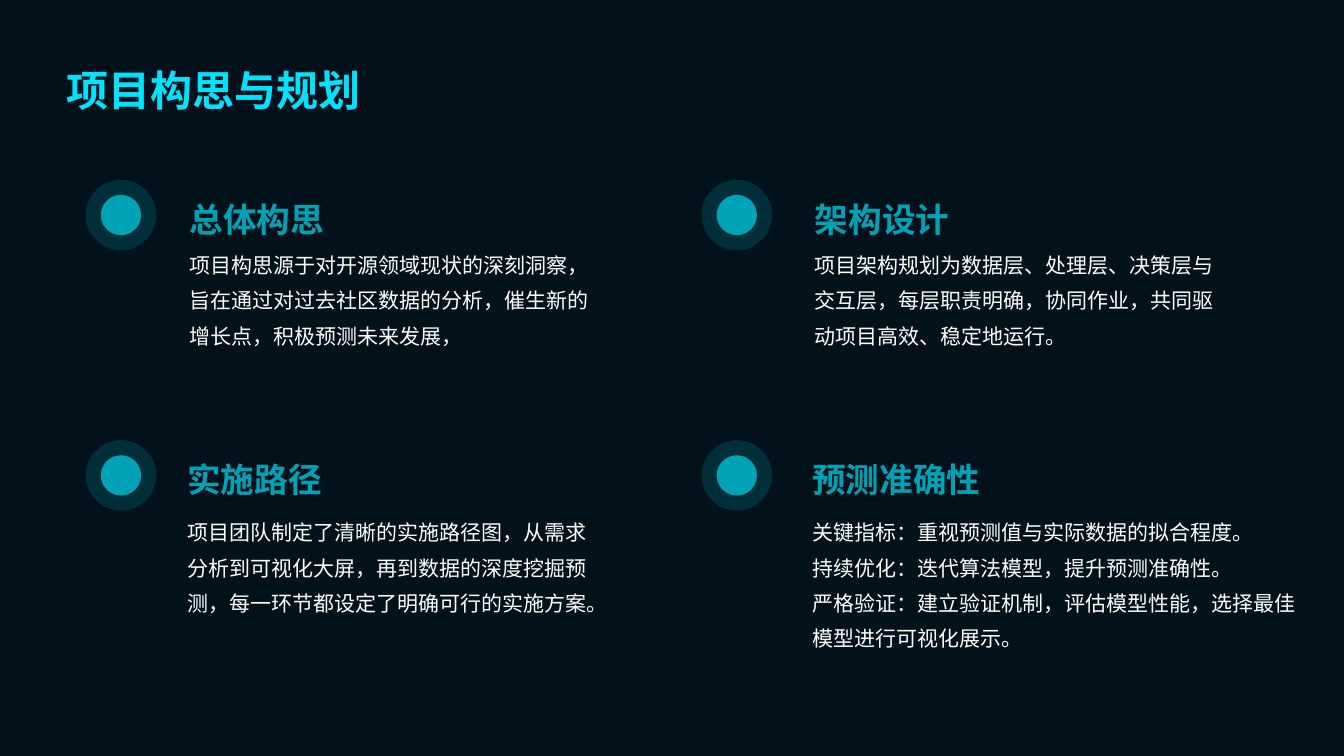
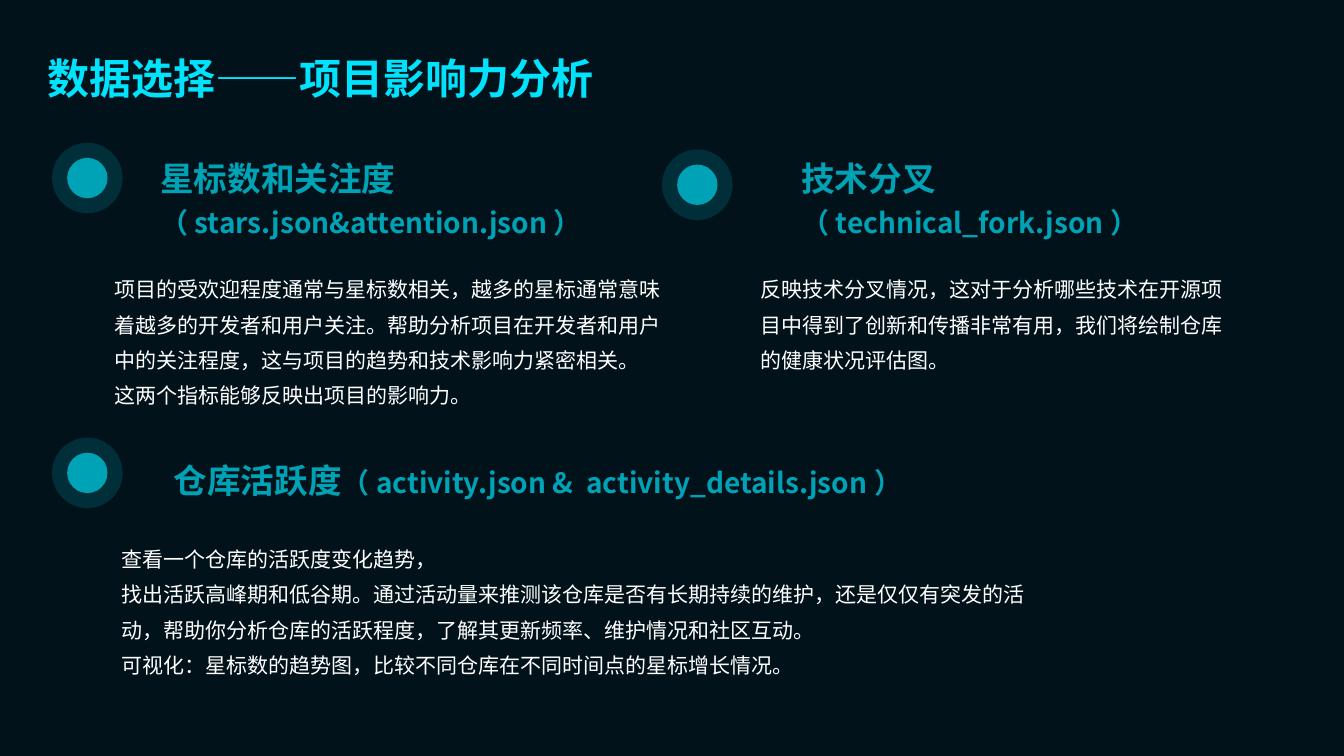
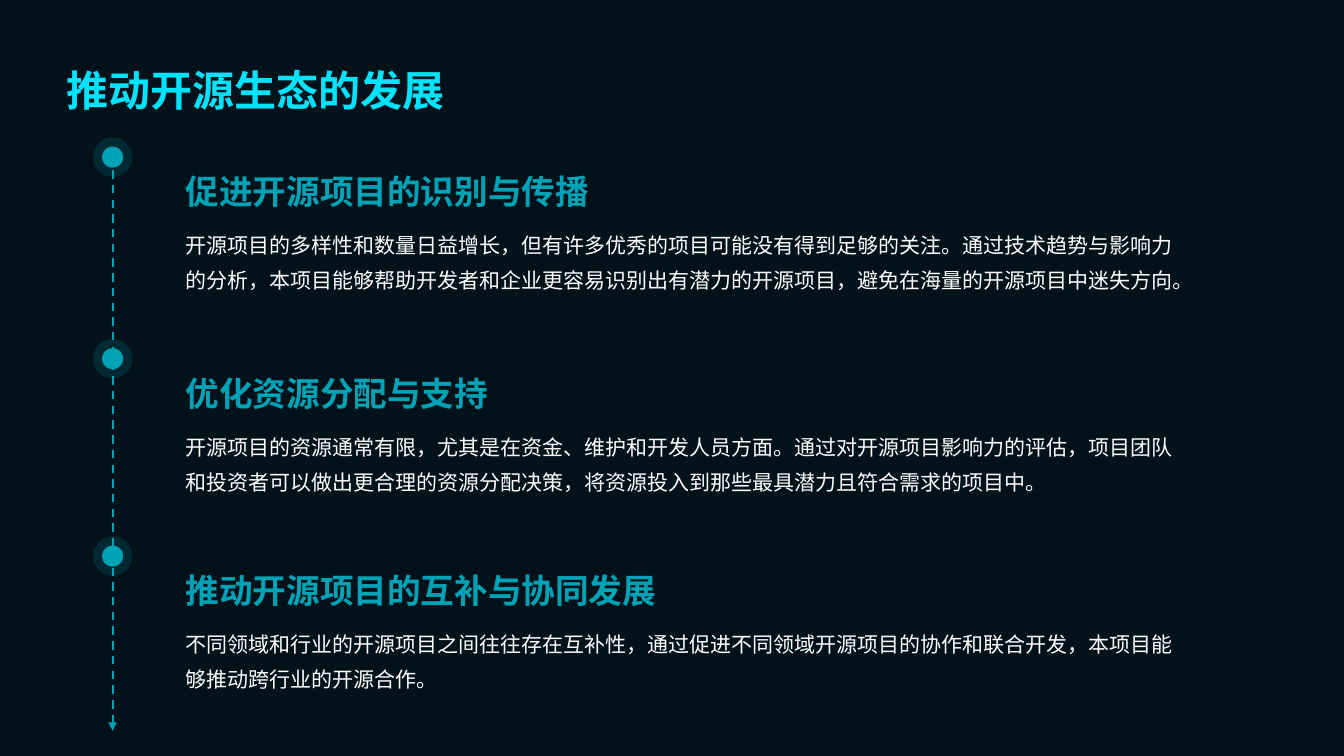
from lxml import etree
from pptx import Presentation
from pptx.dml.color import RGBColor
from pptx.enum.dml import MSO_LINE
from pptx.enum.shapes import MSO_CONNECTOR, MSO_SHAPE
from pptx.enum.text import MSO_ANCHOR, MSO_AUTO_SIZE, PP_ALIGN
from pptx.oxml.ns import qn
from pptx.util import Inches, Pt

OVAL, LINE, DASH = MSO_SHAPE.OVAL, MSO_CONNECTOR.STRAIGHT, MSO_LINE.DASH
TOP, MIDDLE, BOTTOM = MSO_ANCHOR.TOP, MSO_ANCHOR.MIDDLE, MSO_ANCHOR.BOTTOM
NO_FIT, LEFT = MSO_AUTO_SIZE.NONE, PP_ALIGN.LEFT

NIGHT = RGBColor(0x01, 0x12, 0x1A)
TEAL = RGBColor(0x00, 0xA3, 0xB6)
CYAN = RGBColor(0x01, 0xE2, 0xFD)
WHITE = RGBColor(0xFF, 0xFF, 0xFF)
FONT = "Noto Sans CJK SC"

# Grid: 160 columns by 90 rows of square cells
WIDTH, HEIGHT = Inches(13.33), Inches(7.5)
CELL = HEIGHT / 90
PADS = (0.14, 0.14, 0.06, 0.14)
BARE = (0, 0, 0, 0)
HEAD_H, BODY_H = 9.1, 20.2


def grid(*cells):
    return [round(cell * CELL) for cell in cells]


class Deck:
    def __init__(self):
        self.prs = Presentation()
        self.prs.slide_width, self.prs.slide_height = WIDTH, HEIGHT
        fill = self.prs.slide_master.background.fill
        fill.solid()
        fill.fore_color.rgb = NIGHT

    def page(self, title, layout, left=6.2, top=3.5):
        self.slide = self.prs.slides.add_slide(self.prs.slide_layouts[layout])
        holder = self.slide.shapes.title
        holder.text_frame.text = title
        self.place(holder, (left, top, 147.5, 12))
        self.style(holder.text_frame, 30, CYAN, 1.4, MIDDLE, PADS, True)

    def place(self, shape, box):
        shape.left, shape.top, shape.width, shape.height = grid(*box)

    def style(self, frame, size, color, space, anchor, pads, bold=False):
        frame.word_wrap, frame.auto_size = True, NO_FIT
        frame.vertical_anchor = anchor
        (frame.margin_left, frame.margin_top,
         frame.margin_right, frame.margin_bottom) = map(Inches, pads)
        for para in frame.paragraphs:
            para.alignment, para.line_spacing = LEFT, space
            para.space_before = para.space_after = Pt(0)
            font = para.font
            font.size, font.bold, font.name = Pt(size), bold, FONT
            font.color.rgb = color
            props = para._p.get_or_add_pPr()
            # East Asian typeface, and no bullet or indent
            mark = props.find(qn("a:defRPr"))
            etree.SubElement(mark, qn("a:ea")).set("typeface", FONT)
            props.set("marL", "0")
            props.set("indent", "0")
            mark.addprevious(etree.Element(qn("a:buNone")))

    def head(self, box, text, files="", below=True, pads=PADS):
        frame = self.slide.shapes.add_textbox(*grid(*box)).text_frame
        frame.text = text
        if files:
            para = frame.add_paragraph() if below else frame.paragraphs[0]
            run = para.add_run()
            run.text, run.font.size = files, Pt(20)
        self.style(frame, 24, TEAL, 1.2, BOTTOM, pads, True)

    def body(self, box, *lines, pads=PADS, holder=False):
        if holder:
            shape = self.slide.placeholders[1]
            self.place(shape, box)
        else:
            shape = self.slide.shapes.add_textbox(*grid(*box))
        shape.text_frame.text = "\n".join(lines)
        self.style(shape.text_frame, 15, WHITE, 1.4, TOP, pads)

    def disc(self, x, y, size, alpha=100):
        box = grid(x - size / 2, y - size / 2, size, size)
        shape = self.slide.shapes.add_shape(OVAL, *box)
        shape.shadow.inherit = False
        shape.fill.solid()
        shape.fill.fore_color.rgb = TEAL
        shape.line.fill.background()
        if alpha < 100:
            tint = shape._element.spPr.find(".//" + qn("a:srgbClr"))
            etree.SubElement(tint, qn("a:alpha")).set("val", str(alpha * 1000))

    def node(self, x, y, halo=8.4, core=4.8, alpha=20):
        self.disc(x, y, halo, alpha)
        self.disc(x, y, core)

    def arrow(self, x, top, end):
        link = self.slide.shapes.add_connector(LINE, *grid(x, top, x, end))
        link.line.color.rgb, link.line.width = TEAL, Pt(1.5)
        link.line.dash_style = DASH
        props = link._element.spPr
        tip = etree.SubElement(props.find(qn("a:ln")), qn("a:tailEnd"))
        tip.set("type", "triangle")
        etree.SubElement(props, qn("a:effectLst"))


def plan(deck):
    deck.page("项目构思与规划", 1)
    # Node centre, text left, body top, body width, words
    parts = [
        (14.4, 25.6, 20.9, 27.2, 51.2, "总体构思",
         ["项目构思源于对开源领域现状的深刻洞察，旨在通过对过去社区数据的分析，"
          "催生新的增长点，积极预测未来发展，"]),
        (14.4, 56.6, 20.6, 59, 51.2, "实施路径",
         ["项目团队制定了清晰的实施路径图，从需求分析到可视化大屏，"
          "再到数据的深度挖掘预测，每一环节都设定了明确可行的实施方案。"]),
        (87.7, 25.6, 95.3, 27.2, 51.2, "架构设计",
         ["项目架构规划为数据层、处理层、决策层与交互层，每层职责明确，"
          "协同作业，共同驱动项目高效、稳定地运行。"]),
        (87.7, 56.6, 95, 59, 60.1, "预测准确性",
         ["关键指标：重视预测值与实际数据的拟合程度。",
          "持续优化：迭代算法模型，提升预测准确性。",
          "严格验证：建立验证机制，评估模型性能，选择最佳模型进行可视化展示。"]),
    ]
    for x, y, left, top, width, text, lines in parts:
        deck.node(x, y)
        deck.head((left, y - 4.55, 51.2, HEAD_H), text)
        deck.body((left, top, width, BODY_H), *lines, holder=len(lines) > 1)


def data(deck):
    deck.page("数据选择——项目影响力分析", 1, 4, 2)
    for x, y in [(10.4, 21.2), (10.4, 56.3), (83, 22)]:
        deck.node(x, y)
    # Stars and attention
    deck.head((17.4, 21, 58.6, HEAD_H), "星标数和关注度",
              "（ stars.json&attention.json ）")
    deck.body((11.9, 30.1, 69.7, BODY_H),
              "项目的受欢迎程度通常与星标数相关，越多的星标通常意味着越多的开发者和"
              "用户关注。帮助分析项目在开发者和用户中的关注程度，"
              "这与项目的趋势和技术影响力紧密相关。",
              "这两个指标能够反映出项目的影响力。")
    # Forks
    deck.head((93.7, 21, 51.2, HEAD_H), "技术分叉", "（ technical_fork.json ）")
    deck.body((88.8, 30.1, 58.8, BODY_H),
              "反映技术分叉情况，这对于分析哪些技术在开源项目中得到了创新和传播"
              "非常有用，我们将绘制仓库的健康状况评估图。")
    # Activity
    deck.head((19, 52.1, 122.2, HEAD_H), "仓库活跃度",
              "（ activity.json &  activity_details.json ）", below=False)
    deck.body((12.8, 62.2, 124.8, BODY_H),
              "查看一个仓库的活跃度变化趋势，",
              "找出活跃高峰期和低谷期。通过活动量来推测该仓库是否有长期持续的维护，"
              "还是仅仅有突发的活",
              "动，帮助你分析仓库的活跃程度，了解其更新频率、维护情况和社区互动。",
              "可视化：星标数的趋势图，比较不同仓库在不同时间点的星标增长情况。",
              holder=True)


def growth(deck):
    deck.page("推动开源生态的发展", 5)
    steps = [
        (18.7, "促进开源项目的识别与传播",
         "开源项目的多样性和数量日益增长，但有许多优秀的项目可能没有得到足够的关注。"
         "通过技术趋势与影响力的分析，本项目能够帮助开发者和企业更容易识别出有潜力的"
         "开源项目，避免在海量的开源项目中迷失方向。"),
        (42.7, "优化资源分配与支持",
         "开源项目的资源通常有限，尤其是在资金、维护和开发人员方面。"
         "通过对开源项目影响力的评估，项目团队和投资者可以做出更合理的资源分配决策，"
         "将资源投入到那些最具潜力且符合需求的项目中。"),
        (66.2, "推动开源项目的互补与协同发展",
         "不同领域和行业的开源项目之间往往存在互补性，"
         "通过促进不同领域开源项目的协作和联合开发，本项目能够推动跨行业的开源合作。"),
    ]
    for y, text, line in steps:
        deck.node(13.4, y, 4.7, 2.5, 16)
        deck.head((22.1, y - 0.8, 117.4, 7.3), text, pads=BARE)
        deck.body((22.1, y + 7.8, 117.7, 10.1), line, pads=BARE)
    deck.arrow(13.4, 18.5, 87)


def main():
    deck = Deck()
    for build in (plan, data, growth):
        build(deck)
    deck.prs.save("out.pptx")


if __name__ == "__main__":
    main()
